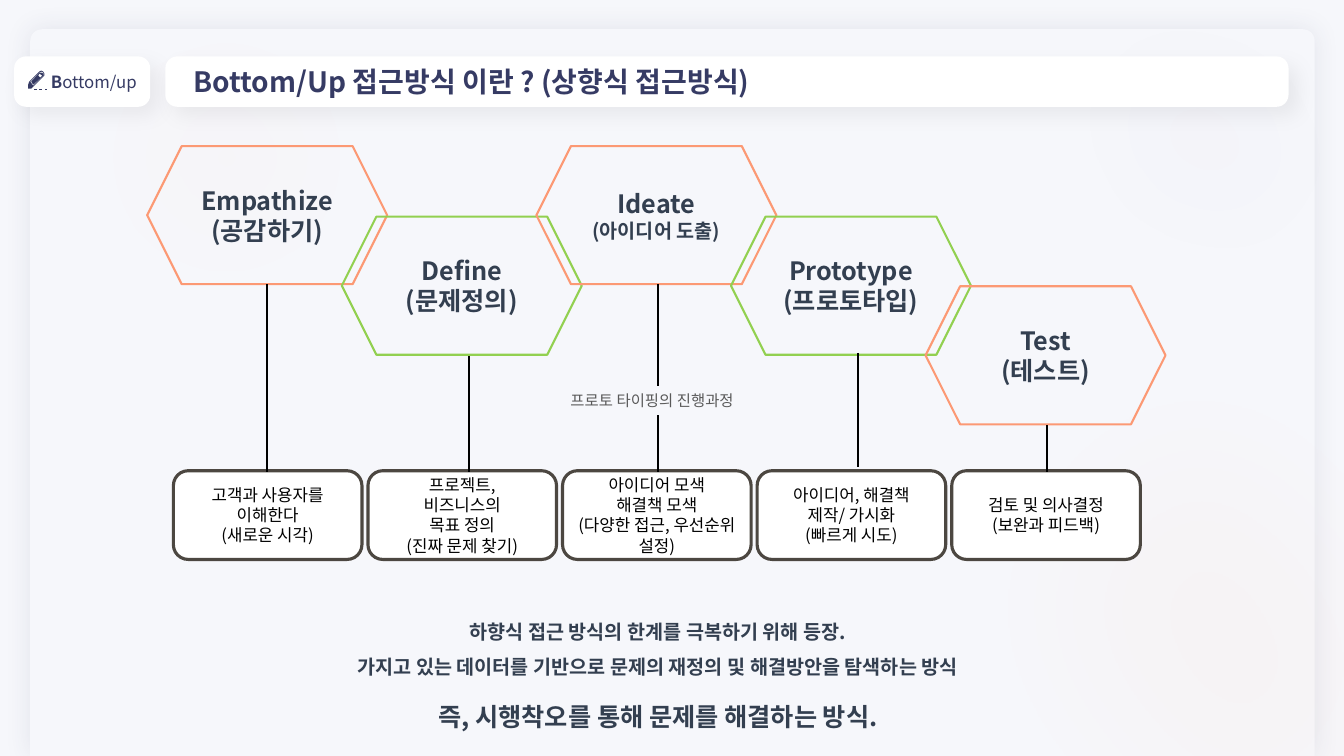
from lxml import etree
from pptx import Presentation
from pptx import util as u
from pptx.dml.color import RGBColor
from pptx.enum import shapes, text
from pptx.oxml.ns import qn

In, Pt = u.Inches, u.Pt
MSO, ALIGN, ANCHOR = shapes.MSO_SHAPE, text.PP_ALIGN, text.MSO_ANCHOR
FONT = "Noto Sans CJK KR"
NAVY, SLATE, ORANGE, GREEN = "363B64", "333F50", "FC9974", "92D050"

# name, Korean name, its size, outline, hexagon top, connector x, line spans, card text
STEPS = [
    ("Empathize", "(공감하기)", 18, ORANGE, 1.45, 2.65, [(2.82, 4.68)],
     "고객과 사용자를\n이해한다\n(새로운 시각)"),
    ("Define", "(문제정의)", 18, GREEN, 2.15, 4.65, [(3.53, 4.68)],
     "프로젝트,\n비즈니스의\n목표 정의\n(진짜 문제 찾기)"),
    ("Ideate", "(아이디어 도출)", 14, ORANGE, 1.45, 6.53, [(2.82, 3.83), (4.12, 4.68)],
     "아이디어 모색\n해결책 모색\n(다양한 접근, 우선순위 설정)"),
    ("Prototype", "(프로토타입)", 18, GREEN, 2.15, 8.51, [(3.5, 4.63)],
     "아이디어, 해결책\n제작/ 가시화\n(빠르게 시도)"),
    ("Test", "(테스트)", 18, ORANGE, 2.84, 10.38, [(4.22, 4.68)],
     "검토 및 의사결정\n(보완과 피드백)"),
]

# pencil outlines, in hundredths of an inch from the icon's corner
PENCIL = [
    [[(0, 18), (3, 18), (6, 15), (16, 5), (16, 3), (15, 1), (13, 0), (11, 1), (1, 11), (0, 14)],
     [(11, 2), (13, 1), (15, 2), (15, 5), (5, 15), (2, 11)]],
    [[(5, 14), (15, 5), (15, 3), (13, 2), (11, 2), (3, 11)],
     [(11, 3), (14, 5), (12, 7), (10, 5)]],
]


def rgb(hex_color):
    return RGBColor.from_string(hex_color)


def add_alpha(color_el, percent):
    etree.SubElement(color_el, qn("a:alpha"), val=str(percent * 1000))


def add_effect(sp, tag, **attrs):
    effects = sp.element.spPr.find(qn("a:effectLst"))
    return etree.SubElement(effects, qn(tag), {k: str(v) for k, v in attrs.items()})


def add_shadow(sp, color, alpha, blur, dist=0, angle=0):
    shadow = add_effect(sp, "a:outerShdw", blurRad=Pt(blur), dist=Pt(dist),
                        dir=angle * 60000, algn="ctr", rotWithShape=0)
    add_alpha(etree.SubElement(shadow, qn("a:srgbClr"), val=color), alpha)


def paint(sp, fill=None, line=None, width=1.5):
    sp.shadow.inherit = False
    if fill:
        sp.fill.solid()
        sp.fill.fore_color.rgb = rgb(fill)
    else:
        sp.fill.background()
    if line:
        sp.line.color.rgb = rgb(line)
        sp.line.width = Pt(width)
    else:
        sp.line.fill.background()


def add_box(s, kind, box, adj=None, **style):
    sp = s.shapes.add_shape(kind, *map(In, box))
    if adj is not None:
        sp.adjustments[0] = adj
    paint(sp, **style)
    return sp


def style_run(r, size, color, bold=False):
    r.font.name, r.font.size, r.font.bold = FONT, Pt(size), bold
    r.font.color.rgb = rgb(color)
    etree.SubElement(r.font._element, qn("a:ea"), typeface=FONT)


def write(sp, words, size, color, bold=False, align=ALIGN.CENTER, spacing=None,
          anchor=ANCHOR.MIDDLE):
    tf = sp.text_frame
    tf.text = words
    tf.word_wrap = True
    tf.vertical_anchor = anchor
    for p in tf.paragraphs:
        p.alignment = align
        if spacing:
            p.line_spacing = spacing
        for r in p.runs:
            style_run(r, size, color, bold)
    return tf


def add_text(s, box, words, size, color, **style):
    write(s.shapes.add_textbox(*map(In, box)), words, size, color, anchor=ANCHOR.TOP, **style)


def add_line(s, x1, y1, x2, y2, color, width):
    c = s.shapes.add_connector(shapes.MSO_CONNECTOR.STRAIGHT, *map(In, (x1, y1, x2, y2)))
    c.line.color.rgb = rgb(color)
    c.line.width = Pt(width)
    etree.SubElement(c.element.spPr, qn("a:effectLst"))


def add_backdrop(s):
    s.background.fill.solid()
    s.background.fill.fore_color.rgb = rgb("F6F7FB")
    panel = add_box(s, MSO.ROUND_2_SAME_RECTANGLE, (0.3, 0.29, 12.74, 7.21), 0.016, fill="F6F7FB")
    add_shadow(panel, NAVY, 10, 18)
    for box, angle, color, alpha in [((0, -0.9, 4.5, 4.91), 0, "FD9374", 7),
                                     ((9.7, -1.43, 4.5, 5.63), 291.5, "7030A0", 4),
                                     ((9.01, 2.69, 6.26, 7.27), 339.8, ORANGE, 4)]:
        glow = add_box(s, MSO.OVAL, box, fill=color)
        glow.rotation = angle
        add_alpha(glow.element.spPr.find(qn("a:solidFill"))[0], alpha)
        add_effect(glow, "a:softEdge", rad=Pt(100))


def add_pencil(s, x, y):
    for left, right in [(0.06, 0.09), (0.11, 0.14), (0.17, 0.19)]:
        add_line(s, x + left, y + 0.18, x + right, y + 0.18, NAVY, 0.25)
    for outline, hole in PENCIL:
        fb = s.shapes.build_freeform(*outline[0], scale=In(0.01))
        fb.add_line_segments(outline[1:])
        fb.move_to(*hole[0])
        fb.add_line_segments(hole[1:])
        paint(fb.convert_to_shape(In(x), In(y)), NAVY)


def add_header(s, y, height):
    tag_box, bar_box = (0.14, y, 1.35, height), (1.64, y, 11.14, height)
    tag, bar = [add_box(s, MSO.ROUNDED_RECTANGLE, box, 0.237, fill="FFFFFF")
                for box in (tag_box, bar_box)]
    for sp in (tag, bar):
        add_shadow(sp, "000000", 5, 15, 8, 45)
    p = write(tag, "B", 12, NAVY, True, ALIGN.RIGHT).paragraphs[0]
    r = p.add_run()
    r.text = "ottom/up"
    style_run(r, 12, NAVY)
    add_pencil(s, tag_box[0] + 0.14, y + 0.14)

    title = s.shapes.title
    title.element.getparent().append(title.element)  # bring in front of the bar
    title.left, title.top, title.width, title.height = map(In, bar_box)
    tf = write(title, "Bottom/Up 접근방식 이란 ? (상향식 접근방식)", 20, NAVY, True, ALIGN.LEFT)
    tf.auto_size = text.MSO_AUTO_SIZE.NONE
    tf.margin_left = In(0.28)


def add_process(s, hex_left, card_left, card_top):
    """Draw the staggered hexagons, with a card under each and lines between."""
    for i, (name, korean, size, color, top, x, spans, card_text) in enumerate(STEPS):
        hexagon = add_box(s, MSO.HEXAGON, (hex_left + 1.93 * i, top, 2.38, 1.37), line=color)
        tf = write(hexagon, f"{name}\n{korean}", 18, SLATE, True)
        tf.paragraphs[1].runs[0].font.size = Pt(size)
        card = add_box(s, MSO.ROUNDED_RECTANGLE, (card_left + 1.93 * i, card_top, 1.87, 0.88),
                       fill="FFFFFF", line="4C4741", width=2.25)
        write(card, card_text, 12, "000000")
        for y1, y2 in spans:
            add_line(s, x, y1, x, y2, "000000", 1.5)
    add_text(s, (5.56, 3.83, 2.08, 0.44), "프로토 타이핑의 진행과정", 11, "595959", align=ALIGN.LEFT)


def add_summary(s, x, y, width):
    add_text(s, (x, y, width, 0.76),
             "하향식 접근 방식의 한계를 극복하기 위해 등장.\n"
             "가지고 있는 데이터를 기반으로 문제의 재정의 및 해결방안을 탐색하는 방식",
             14, SLATE, bold=True, spacing=1.5)
    add_text(s, (x, y + 0.78, width, 0.5), "즉, 시행착오를 통해 문제를 해결하는 방식.",
             18, SLATE, bold=True, spacing=1.5)


def main():
    prs = Presentation()
    prs.slide_width, prs.slide_height = In(13.33), In(7.5)
    s = prs.slides.add_slide(prs.slide_layouts[5])
    add_backdrop(s)
    add_header(s, 0.56, 0.5)
    add_summary(s, 2.68, 5.98, 7.69)
    add_process(s, 1.46, 1.72, 4.67)
    prs.save("out.pptx")


if __name__ == "__main__":
    main()
